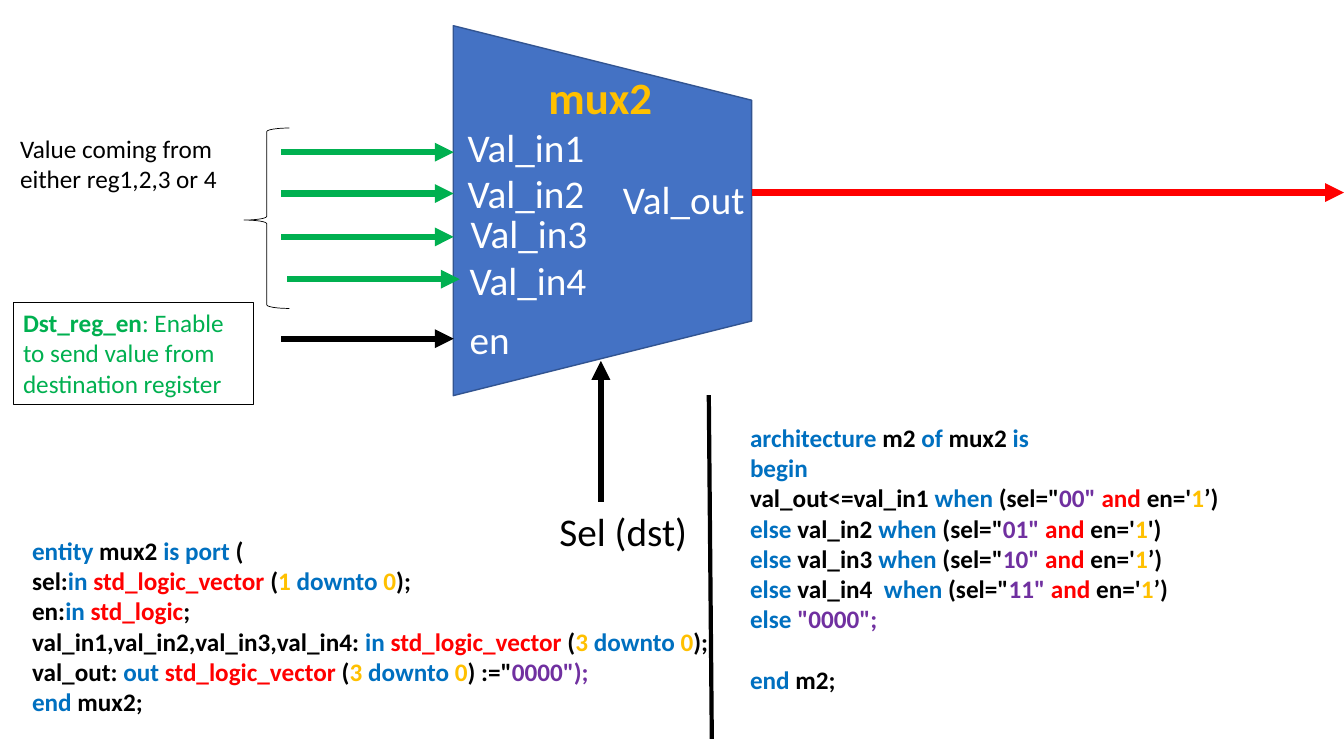
from lxml import etree
from pptx import Presentation
from pptx.dml.color import RGBColor
from pptx.enum.shapes import MSO_CONNECTOR, MSO_SHAPE
from pptx.enum.text import MSO_AUTO_SIZE
from pptx.oxml.ns import qn
from pptx.util import Pt

STRAIGHT = MSO_CONNECTOR.STRAIGHT
TRAPEZOID = MSO_SHAPE.TRAPEZOID
BRACE = MSO_SHAPE.RIGHT_BRACE
GROW = MSO_AUTO_SIZE.SHAPE_TO_FIT_TEXT

SCALE = 9144
FONT = "Calibri"
BLACK, WHITE, GREEN, RED = "000000", "FFFFFF", "00B050", "FF0000"
BLUE, GOLD, PURPLE = "0070C0", "FFC000", "7030A0"
BODY, EDGE = "4472C4", "325491"

PORTS = [
    ("Val_in1", 454, 117), ("Val_in2", 454, 163), ("Val_in3", 457, 203),
    ("Val_in4", 456, 249), ("Val_out", 608, 169), ("en", 456, 308),
]
INPUTS = [
    (279, 151, GREEN), (279, 192, GREEN), (279, 235, GREEN),
    (285, 277, GREEN), (279, 336, BLACK),
]
REACH = 171


def vector(high):
    return [("std_logic_vector ", RED), ("(", BLACK), (high + " ", GOLD),
            ("downto ", BLUE), ("0", GOLD)]


def choice(value, code, close):
    return [(value, BLACK), ("when", BLUE), (' (sel="', BLACK),
            (code + '" ', PURPLE), ("and ", RED), ("en='", BLACK),
            ("1", GOLD), (close, BLACK)]


ENTITY = [
    [("entity", BLUE), (" mux2 ", BLACK), ("is port", BLUE), (" (", BLACK)],
    [("sel:", BLACK), ("in ", BLUE), *vector("1"), (");", BLACK)],
    [("en:", BLACK), ("in ", BLUE), ("std_logic", RED), (";", BLACK)],
    [("val_in1,val_in2,val_in3,val_in4: ", BLACK), ("in ", BLUE),
     *vector("3"), (");", BLACK)],
    [("val_out: ", BLACK), ("out ", BLUE), *vector("3"),
     (') :="', BLACK), ('0000");', PURPLE)],
    [("end", BLUE), (" mux2;", BLACK)],
]
ARCH = [
    [("architecture", BLUE), (" m2 ", BLACK), ("of", BLUE),
     (" mux2 ", BLACK), ("is", BLUE)],
    [("begin", BLUE)],
    choice("val_out<=val_in1 ", "00", "’)"),
    [("else", BLUE), *choice(" val_in2 ", "01", "')")],
    [("else", BLUE), *choice(" val_in3 ", "10", "’)")],
    [("else", BLUE), *choice(" val_in4  ", "11", "’)")],
    [("else ", BLUE), ('"0000";', PURPLE)],
    [("end", BLUE), (" m2;", BLACK)],
]


def px(*sizes):
    return [size * SCALE for size in sizes]


def color(code):
    return RGBColor.from_string(code)


def label(box, lines, size, bold=False):
    shape = slide.shapes.add_textbox(*px(*box))
    frame = shape.text_frame
    frame.word_wrap = True
    frame.auto_size = GROW
    for i, line in enumerate(lines):
        para = frame.paragraphs[0] if i == 0 else frame.add_paragraph()
        for text, tint, *heavy in line:
            run = para.add_run()
            run.text = text
            run.font.name = FONT
            run.font.size = Pt(size)
            run.font.bold = heavy[0] if heavy else bold
            run.font.color.rgb = color(tint)
    return shape


def wire(ends, tint, width, arrow=True):
    link = slide.shapes.add_connector(STRAIGHT, *px(*ends))
    link.line.color.rgb = color(tint)
    link.line.width = Pt(width)
    if arrow:
        etree.SubElement(link.line._get_or_add_ln(), qn("a:tailEnd"), type="triangle")
    etree.SubElement(link._element.spPr, qn("a:effectLst"))


def figure(kind, box, turn, tint, width):
    shape = slide.shapes.add_shape(kind, *px(*box))
    shape.rotation = turn
    shape.shadow.inherit = False
    shape.line.color.rgb = color(tint)
    shape.line.width = Pt(width)
    return shape


deck = Presentation()
deck.slide_width, deck.slide_height = px(1333, 750)
slide = deck.slides.add_slide(deck.slide_layouts[6])

mux = figure(TRAPEZOID, (414, 61, 367, 296), 90, EDGE, 1)
mux.fill.solid()
mux.fill.fore_color.rgb = color(BODY)

brace = figure(BRACE, (242, 127, 45, 179), 180, BLACK, 0.5)
brace.fill.background()
brace.adjustments[0] = 0.08
brace.adjustments[1] = 0.49

for x, y, tint in INPUTS:
    wire((x, y, x + REACH, y), tint, 4.5)
wire((596, 498, 596, 358), BLACK, 4.5)
wire((746, 191, 1333, 191), RED, 4.5)
wire((703, 392, 706, 733), BLACK, 3, arrow=False)

for name, x, y in PORTS:
    label((x, y, 162, 57), [[(name, WHITE)]], 28)
label((545, 498, 162, 57), [[("Sel (dst)", BLACK)]], 28)
label((534, 64, 169, 64), [[("mux2", GOLD)]], 32, bold=True)
label((10, 127, 252, 71), [[("Value coming from either reg1,2,3 or 4", BLACK)]], 18)

enable = label((13, 300, 238, 101), [[
    ("Dst_reg_en", GREEN, True),
    (": Enable to send value from destination register", GREEN),
]], 18)
enable.line.color.rgb = color(BLACK)
enable.line.width = Pt(0.75)

label((22, 526, 703, 192), ENTITY, 18, bold=True)
arch = label((734, 414, 568, 283), ARCH, 18, bold=True)
arch.text_frame.paragraphs[-1].space_before = Pt(22)

deck.save("out.pptx")
